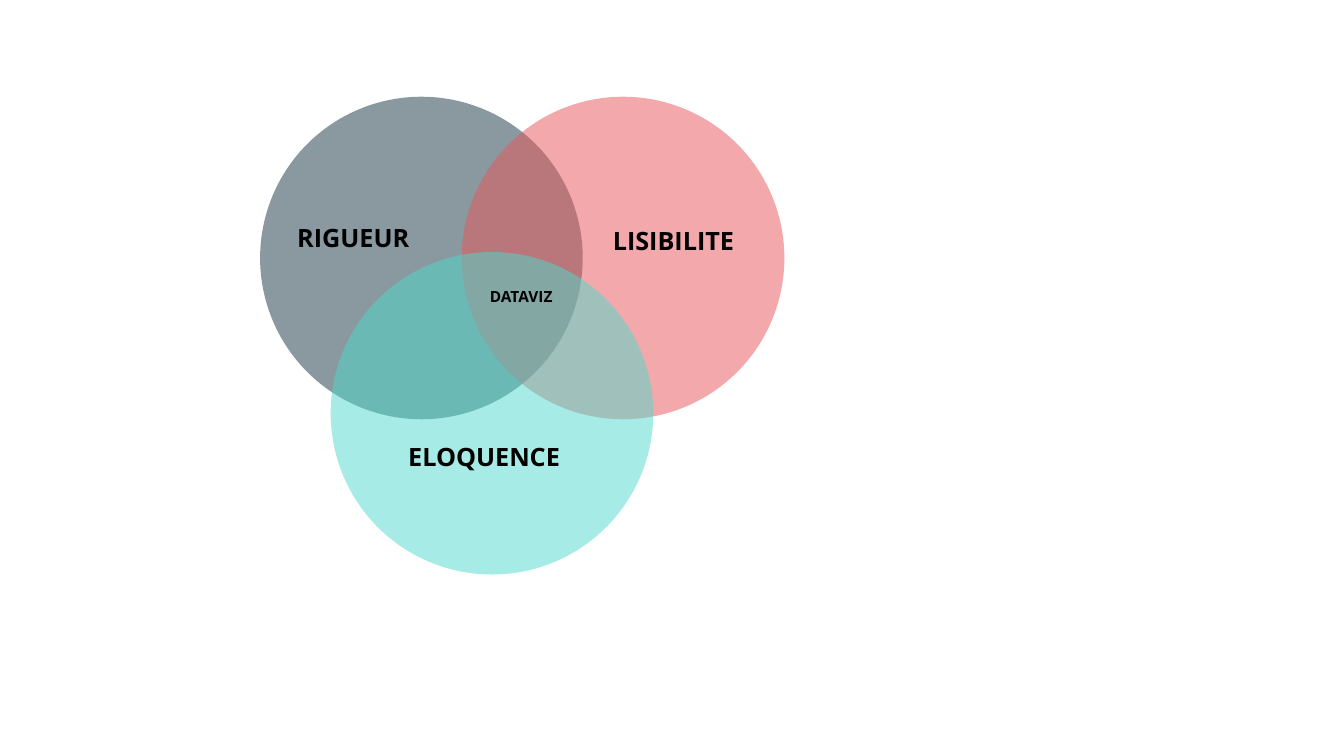
"""Build a slide with a three-circle Venn diagram about data visualisation."""
from lxml import etree
from pptx import Presentation
from pptx.dml.color import RGBColor
from pptx.enum.shapes import MSO_SHAPE
from pptx.enum.text import MSO_AUTO_SIZE
from pptx.oxml.ns import qn
from pptx.util import Inches, Pt

OVAL = MSO_SHAPE.OVAL
GROW = MSO_AUTO_SIZE.SHAPE_TO_FIT_TEXT
BLANK_LAYOUT = 6
FONT = "Open Sans"
DIAMETER = 3.2
OPACITY = 50


def color(hex_string):
    return RGBColor.from_string(hex_string)


presentation = Presentation()
presentation.slide_width = Inches(13.33)
presentation.slide_height = Inches(7.5)
slide = presentation.slides.add_slide(presentation.slide_layouts[BLANK_LAYOUT])
slide.background.fill.solid()
slide.background.fill.fore_color.rgb = color("FFFFFF")

circles = [
    (2.58, 0.96, "173541"),
    (4.58, 0.96, "E95459"),
    (3.28, 2.5, "4ED9CC"),
]
for left, top, fill_color in circles:
    circle = slide.shapes.add_shape(
        OVAL, Inches(left), Inches(top), Inches(DIAMETER), Inches(DIAMETER)
    )
    circle.shadow.inherit = False
    circle.line.fill.background()
    circle.fill.solid()
    circle.fill.fore_color.rgb = color(fill_color)
    fill_element = circle.fill._xPr.find(qn("a:solidFill"))
    alpha = etree.SubElement(fill_element[0], qn("a:alpha"))
    alpha.set("val", str(OPACITY * 1000))

labels = [
    ("RIGUEUR", 2.85, 2.16, 1.54, 0.4, 18),
    ("LISIBILITE", 5.98, 2.19, 1.54, 0.4, 18),
    ("ELOQUENCE", 3.95, 4.33, 1.88, 0.4, 18),
    ("DATAVIZ", 4.76, 2.8, 1.54, 0.29, 11),
]
for text, left, top, width, height, size in labels:
    label = slide.shapes.add_textbox(
        Inches(left), Inches(top), Inches(width), Inches(height)
    )
    text_frame = label.text_frame
    text_frame.word_wrap = True
    text_frame.auto_size = GROW
    text_frame.text = text
    font = text_frame.paragraphs[0].runs[0].font
    font.name = FONT
    font.size = Pt(size)
    font.bold = True
    font.color.rgb = color("000000")

presentation.save("out.pptx")
